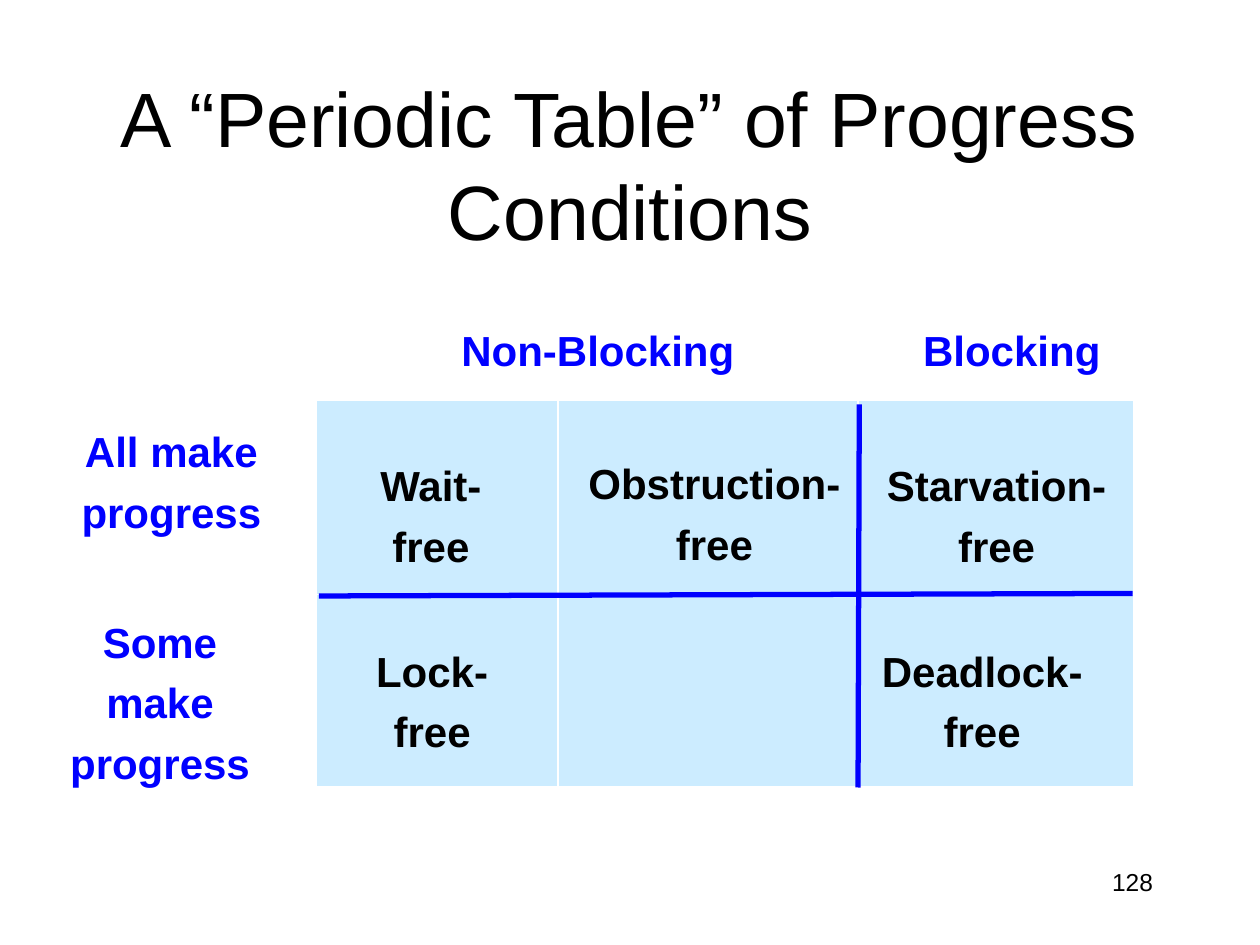
from lxml.etree import SubElement
from pptx import Presentation
from pptx.dml.color import RGBColor
from pptx.enum.shapes import MSO_CONNECTOR
from pptx.enum.text import MSO_ANCHOR, PP_ALIGN
from pptx.oxml import parse_xml
from pptx.oxml.ns import nsdecls, qn
from pptx.util import Inches, Pt

BLACK = RGBColor(0x00, 0x00, 0x00)
BLUE = RGBColor(0x00, 0x00, 0xFF)
PALE_BLUE = RGBColor(0xCC, 0xEC, 0xFF)
WHITE = RGBColor(0xFF, 0xFF, 0xFF)

TITLE = "A “Periodic Table” of Progress Conditions"
PAGE_NUMBER = "128"
HEADINGS = [
    (["All make", "progress"], (0.54, 3.33, 1.64, 0.99)),
    (["Non-Blocking"], (3.55, 2.53, 2.39, 0.5)),
    (["Blocking"], (7.22, 2.53, 1.62, 0.5)),
    (["Some", "make", "progress"], (0.39, 4.84, 1.76, 1.47)),
]
CONDITIONS = [
    (["Lock-", "free"], (2.88, 5.07, 1.1, 0.99)),
    (["Starvation-", "free"], (6.93, 3.6, 1.96, 0.99)),
    (["Deadlock-", "free"], (6.89, 5.07, 1.81, 0.99)),
    (["Wait-", "free"], (2.91, 3.6, 1.02, 0.99)),
    (["Obstruction-", "free"], (4.56, 3.58, 2.22, 0.99)),
]
GRID_BOX = (2.51, 3.18, 6.49, 3.08)
COLUMN_WIDTHS = [1.92, 2.38, 2.19]
ROW_COUNT = 2
DIVIDERS = [(6.82, 3.21, 6.81, 6.25), (2.53, 4.73, 8.99, 4.71)]


def style(paragraph, size, color, align, bold=False):
    paragraph.alignment = align
    font = paragraph.font
    font.name, font.size, font.bold = "Arial", Pt(size), bold
    font.color.rgb = color


def add_text(slide, lines, box, size, color, align=PP_ALIGN.CENTER, bold=True):
    frame = slide.shapes.add_textbox(*map(Inches, box)).text_frame
    frame.word_wrap = False
    frame.text = "\n".join(lines)
    for index, paragraph in enumerate(frame.paragraphs):
        style(paragraph, size, color, align, bold)
        if index:
            paragraph.space_before = Pt(6)


def add_borders(cell, bottom_width):
    sides = [("L", 1), ("R", 1), ("T", 1), ("B", bottom_width)]
    properties = cell._tc.get_or_add_tcPr()
    for index, (side, width) in enumerate(sides):
        border = parse_xml(
            f'<a:ln{side} {nsdecls("a")} w="{Pt(width)}"><a:solidFill>'
            f'<a:srgbClr val="{WHITE}"/></a:solidFill></a:ln{side}>'
        )
        properties.insert(index, border)


def add_grid(slide):
    grid = slide.shapes.add_table(
        ROW_COUNT, len(COLUMN_WIDTHS), *map(Inches, GRID_BOX)
    ).table
    for column, width in zip(grid.columns, COLUMN_WIDTHS):
        column.width = Inches(width)
    for row_index, row in enumerate(grid.rows):
        for cell in row.cells:
            cell.fill.solid()
            cell.fill.fore_color.rgb = PALE_BLUE
            add_borders(cell, 3 if row_index == ROW_COUNT - 1 else 1)


def add_divider(slide, ends):
    divider = slide.shapes.add_connector(MSO_CONNECTOR.STRAIGHT, *map(Inches, ends))
    divider.line.color.rgb = BLUE
    divider.line.width = Pt(3)
    SubElement(divider._element.spPr, qn("a:effectLst"))


def main():
    deck = Presentation()
    deck.slide_width, deck.slide_height = Inches(10), Inches(7.5)
    slide = deck.slides.add_slide(deck.slide_layouts[5])

    title = slide.shapes.title
    title.left, title.top, title.width, title.height = map(
        Inches, (0.75, 0.67, 8.5, 1.25)
    )
    title.text_frame.text = TITLE
    title.text_frame.vertical_anchor = MSO_ANCHOR.MIDDLE
    style(title.text_frame.paragraphs[0], 44, BLACK, PP_ALIGN.CENTER)

    add_text(slide, [PAGE_NUMBER], (7.17, 6.83, 2.08, 0.5), 14, BLACK,
             PP_ALIGN.RIGHT, bold=False)
    for lines, box in HEADINGS:
        add_text(slide, lines, box, 24, BLUE)
    add_grid(slide)
    for lines, box in CONDITIONS:
        add_text(slide, lines, box, 24, BLACK)
    for ends in DIVIDERS:
        add_divider(slide, ends)
    deck.save("out.pptx")


if __name__ == "__main__":
    main()
